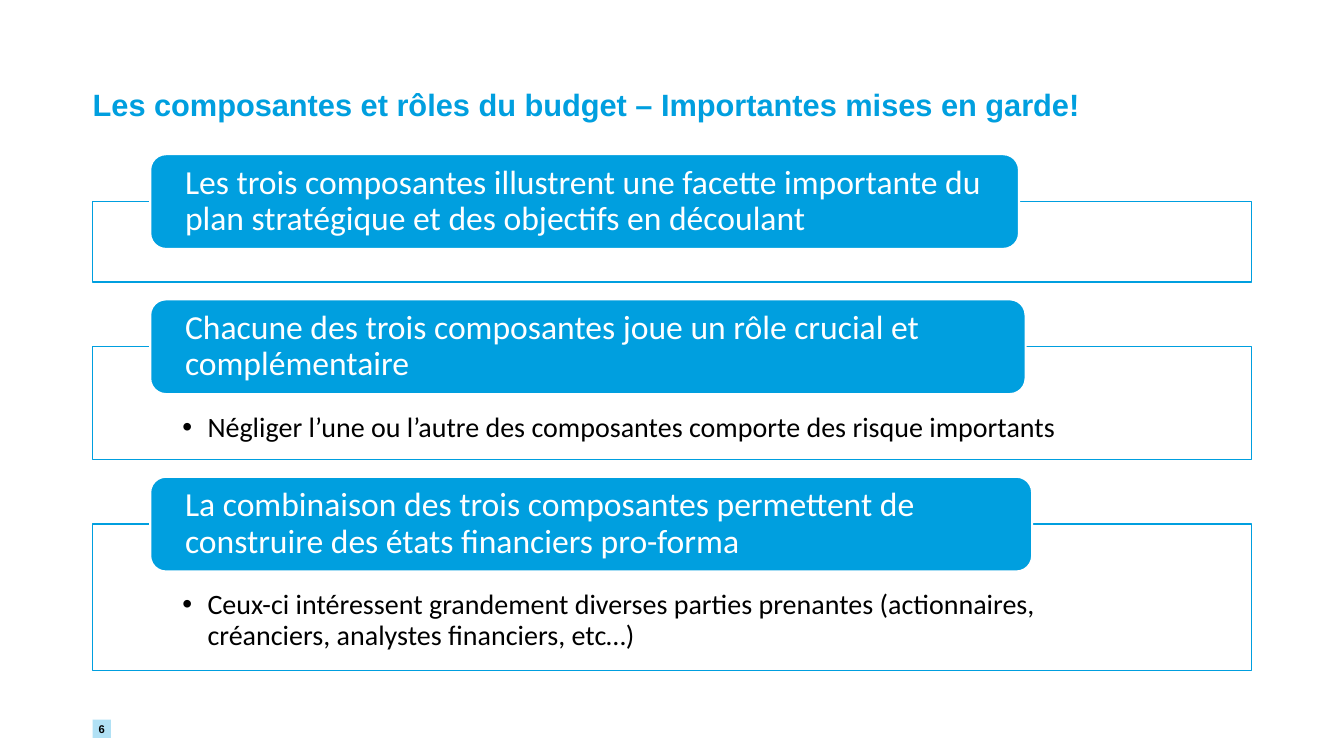
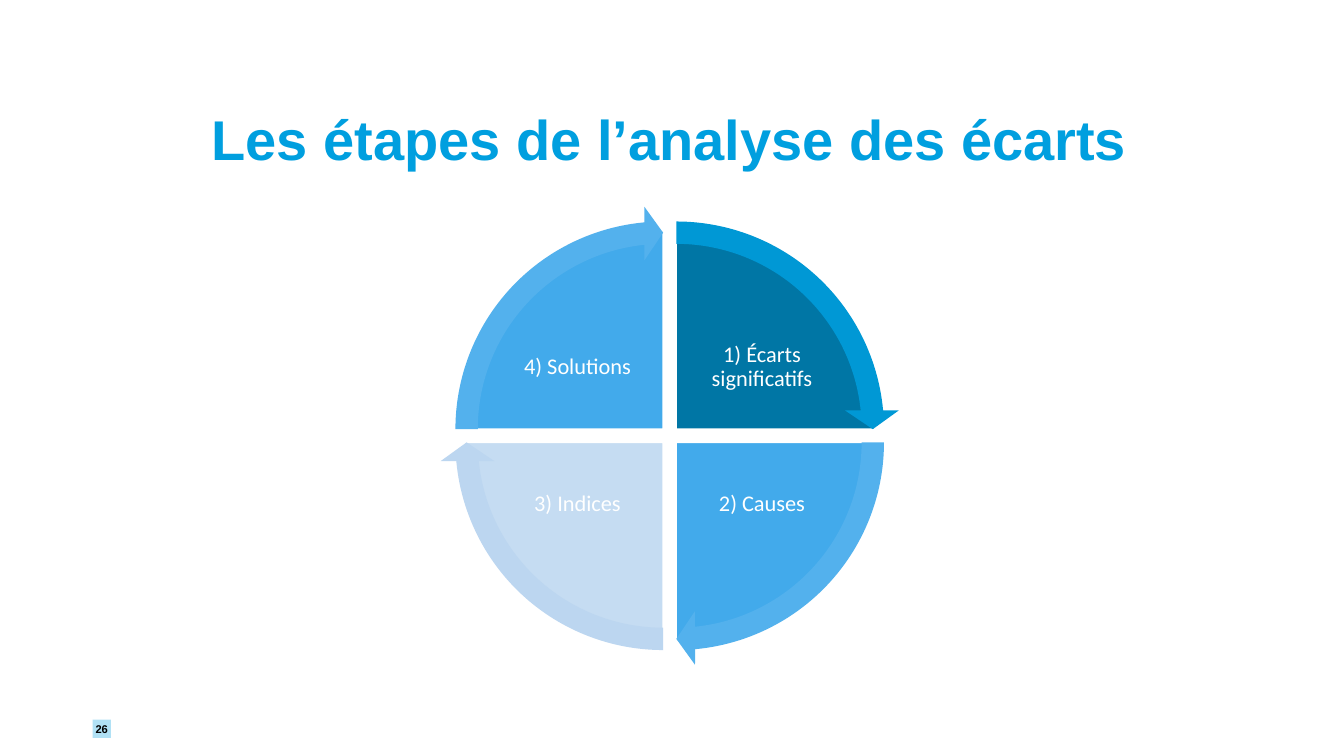
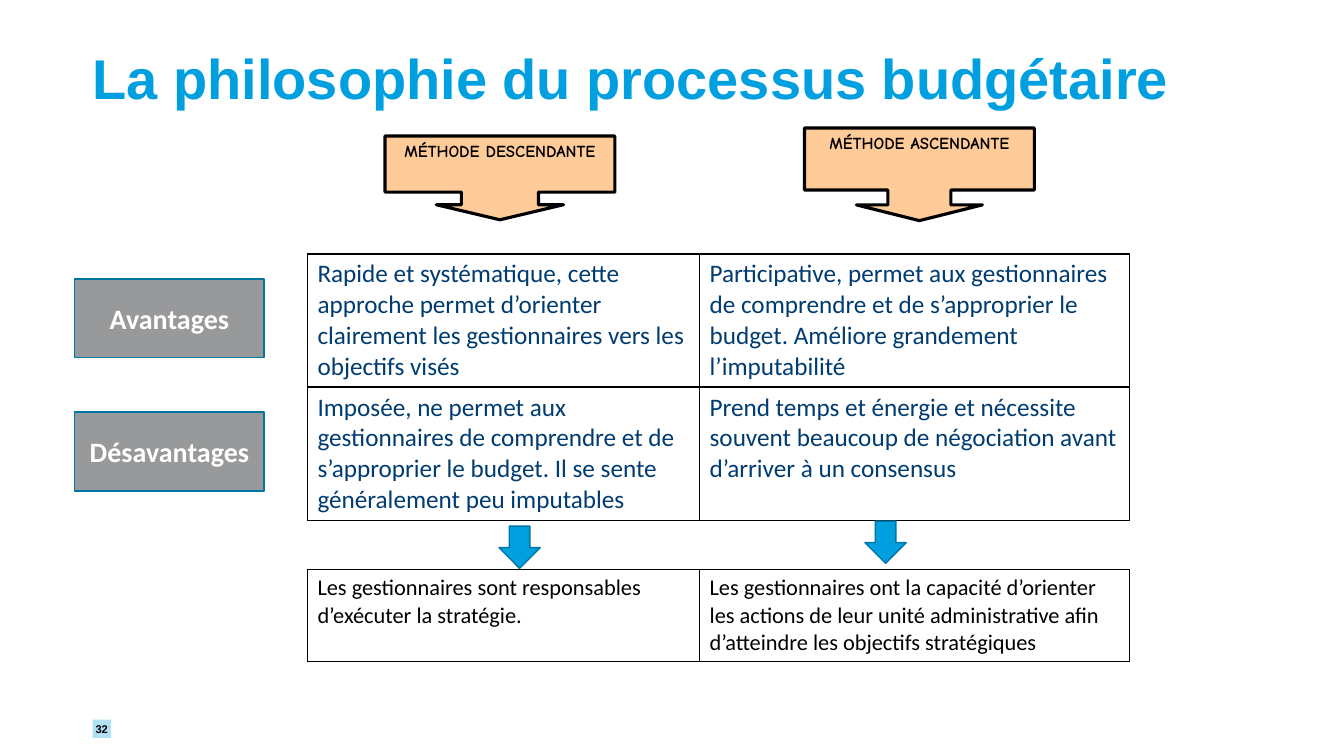
from lxml import etree
from pptx import Presentation
from pptx.dml.color import RGBColor
from pptx.enum.shapes import MSO_SHAPE as Shape
from pptx.enum.text import MSO_ANCHOR as Anchor, MSO_AUTO_SIZE as AutoSize, PP_ALIGN as Align
from pptx.oxml.ns import qn
from pptx.util import Pt

BLUE, DARK_BLUE, NAVY, PALE_BLUE = "009FDF", "0076A5", "003C71", "3CB5E6"
BLACK, WHITE, GREY, PEACH = "000000", "FFFFFF", "97999B", "FFCC99"
MARGIN, CONTENT_WIDTH = 66.2, 828
CELL_INSETS = (7.2, 3.6, 7.2, 3.6)

BADGE_FONT = {"name": "Arial", "size": 8, "bold": True, "color": BLACK}
HEADER_FONT = {"name": "Calibri", "size": 24, "color": WHITE}
DETAIL_FONT = {"name": "Calibri", "size": 20, "color": BLACK}
STEP_FONT = {"name": "Calibri", "size": 16, "color": WHITE}
METHOD_FONT = {"name": "Comic Neue", "size": 12, "bold": True, "color": BLACK}
LABEL_FONT = {"name": "Calibri", "size": 20, "bold": True, "color": WHITE}
COMPARE_FONT = {"name": "Calibri", "size": 18, "color": NAVY}
RESULT_FONT = {"name": "Calibri", "size": 16, "color": BLACK}

TITLES = [
    {"text": "Les composantes et rôles du budget – Importantes mises en garde!",
     "left": MARGIN, "top": 43.2, "size": 22, "number": "6"},
    {"text": "Les étapes de l’analyse des écarts",
     "left": 151.2, "top": 78.5, "size": 40, "number": "26"},
    {"text": "La philosophie du processus budgétaire",
     "left": MARGIN, "top": 34.6, "size": 40, "number": "32"},
]

WARNINGS = [
    ("Les trois composantes illustrent une facette importante du plan stratégique "
     "et des objectifs en découlant", "", 57.6),
    ("Chacune des trois composantes joue un rôle crucial et complémentaire",
     "Négliger l’une ou l’autre des composantes comporte des risque importants", 80.6),
    ("La combinaison des trois composantes permettent de construire des états "
     "financiers pro-forma",
     "Ceux-ci intéressent grandement diverses parties prenantes (actionnaires, "
     "créanciers, analystes financiers, etc…)", 104.4),
]

STEPS = [
    ("1) Écarts significatifs", 1, -1, DARK_BLUE, "0098D5"),
    ("2) Causes", 1, 1, "42AAEB", "53B1ED"),
    ("3) Indices", -1, 1, "C5DCF2", "BCD6F0"),
    ("4) Solutions", -1, -1, "42AAEB", "53B1ED"),
]

METHODS = [
    ("MÉTHODE DESCENDANTE", 275, 97.2, 59.8, (0.92, 0.76, 0.18, 0.67)),
    ("MÉTHODE ASCENDANTE", 574.6, 91.4, 66.2, (0.68, 0.68, 0.17, 0.67)),
]
LABELS = ["Avantages", "Désavantages"]
COMPARISON = [
    ["Rapide et systématique, cette approche permet d’orienter clairement les "
     "gestionnaires vers les objectifs visés",
     "Participative, permet aux gestionnaires de comprendre et de s’approprier le "
     "budget. Améliore grandement l’imputabilité"],
    ["Imposée, ne permet aux gestionnaires de comprendre et de s’approprier le "
     "budget. Il se sente généralement peu imputables",
     "Prend temps et énergie et nécessite souvent beaucoup de négociation avant "
     "d’arriver à un consensus"],
]
RESULTS = [[
    "Les gestionnaires sont responsables d’exécuter la stratégie.",
    "Les gestionnaires ont la capacité d’orienter les actions de leur unité "
    "administrative afin d’atteindre les objectifs stratégiques",
]]
RESULT_ARROWS = [(356.4, 375.8), (617.8, 372.2)]
COLUMN_WIDTHS = [280.1, 306.9]


def color(value):
    return RGBColor.from_string(value)


def format_para(para, text, font, align=Align.LEFT, spacing=None):
    span = para.add_run()
    span.text = text
    para.alignment = align
    if spacing:
        para.line_spacing = spacing
    for name, value in font.items():
        if name == "color":
            span.font.color.rgb = color(value)
        else:
            setattr(span.font, name, Pt(value) if name == "size" else value)


def write(box, text, font, align=Align.CENTER, anchor=Anchor.MIDDLE,
          insets=(0, 0, 0, 0), spacing=None):
    frame = box.text_frame
    frame.word_wrap = True
    frame.auto_size = AutoSize.NONE
    frame.vertical_anchor = anchor
    for side, value in zip(("left", "top", "right", "bottom"), insets):
        setattr(frame, f"margin_{side}", Pt(value))
    format_para(frame.paragraphs[0], text, font, align, spacing)


def add_box(page, kind, left, top, width, height, fill, line=None, weight=1, adjust=()):
    box = page.shapes.add_shape(kind, Pt(left), Pt(top), Pt(width), Pt(height))
    box.shadow.inherit = False
    box.fill.solid()
    box.fill.fore_color.rgb = color(fill)
    if line:
        box.line.color.rgb = color(line)
        box.line.width = Pt(weight)
    else:
        box.line.fill.background()
    for index, value in enumerate(adjust):
        box.adjustments[index] = value
    return box


def add_page(deck, text, left, top, size, number):
    page = deck.slides.add_slide(deck.slide_layouts[5])
    title = page.shapes.title
    title.left, title.top = Pt(left), Pt(top)
    title.width, title.height = Pt(MARGIN + CONTENT_WIDTH - left), Pt(44.6)
    font = {"name": "Arial", "size": size, "bold": True, "color": BLUE}
    write(title, text, font, Align.LEFT, spacing=Pt(44))
    badge = add_box(page, Shape.RECTANGLE, MARGIN, 514.1, 13, 13, PALE_BLUE)
    tint = badge.fill._xPr.find(qn("a:solidFill"))[0]
    etree.SubElement(tint, qn("a:alpha"), val="40000")
    write(badge, number, BADGE_FONT)
    return page


def add_bullet(para, indent):
    props = para._p.get_or_add_pPr()
    props.set("marL", str(Pt(indent)))
    props.set("indent", str(-Pt(indent)))
    etree.SubElement(props, qn("a:buFont"), typeface="Arial")
    etree.SubElement(props, qn("a:buChar"), char="•")


def add_borders(cell):
    props = cell._tc.get_or_add_tcPr()
    for index, side in enumerate(("lnL", "lnR", "lnT", "lnB")):
        edge = etree.Element(qn(f"a:{side}"), w=str(Pt(1)))
        paint = etree.SubElement(edge, qn("a:solidFill"))
        etree.SubElement(paint, qn("a:srgbClr"), val=BLACK)
        props.insert(index, edge)


def add_grid(page, rows, left, top, row_height, font, fill=None):
    table = page.shapes.add_table(len(rows), len(COLUMN_WIDTHS), Pt(left), Pt(top),
                                  Pt(sum(COLUMN_WIDTHS)), Pt(row_height * len(rows))).table
    table.first_row = table.horz_banding = False
    for column, width in zip(table.columns, COLUMN_WIDTHS):
        column.width = Pt(width)
    for row, texts in zip(table.rows, rows):
        row.height = Pt(row_height)
        for cell, text in zip(row.cells, texts):
            if fill:
                cell.fill.solid()
                cell.fill.fore_color.rgb = color(fill)
            else:
                cell.fill.background()
            add_borders(cell)
            format_para(cell.text_frame.paragraphs[0], text, font)


def build_warnings(page):
    top, gap, header_height = 144, 46.1, 67.7
    for index, (header, detail, height) in enumerate(WARNINGS):
        card = add_box(page, Shape.RECTANGLE, MARGIN, top, CONTENT_WIDTH, height, WHITE, BLUE)
        if detail:
            add_bullet(card.text_frame.paragraphs[0], 18)
            write(card, detail, DETAIL_FONT, Align.LEFT, Anchor.TOP,
                  (64.1, 47.5, 64.1, 11.5), 0.9)
        banner = add_box(page, Shape.ROUNDED_RECTANGLE, 107.3, top - header_height / 2,
                         620.6 + 4.7 * index, header_height, BLUE, WHITE, 1.5)
        write(banner, header, HEADER_FONT, Align.LEFT, insets=(21.6, 0, 21.6, 0), spacing=0.9)
        top += height + gap


def build_cycle(page):
    center_x, center_y, shift = 478.4, 311.3, 4.7
    pie_size, arrow_size, text_width, text_height = 283.7, 319, 104.4, 77.8
    quarter, turn, head = 54, 216, 3.28
    arrows = []
    for index, (text, side_x, side_y, pie_fill, arrow_fill) in enumerate(STEPS):
        x, y = center_x + side_x * shift, center_y + side_y * shift
        start = (index - 1) * quarter % turn
        end = start + quarter
        add_box(page, Shape.PIE, x - pie_size / 2, y - pie_size / 2, pie_size, pie_size,
                pie_fill, WHITE, adjust=(start, end % turn))
        box = page.shapes.add_textbox(
            Pt(center_x + side_x * 65.9 - text_width / 2),
            Pt(center_y + side_y * 49 - text_height / 2), Pt(text_width), Pt(text_height))
        write(box, text, STEP_FONT, insets=(1.4,) * 4, spacing=0.9)
        arrows.append((x, y, arrow_fill, (0.05, head, end - head, start, 0.06)))
    for x, y, fill, adjust in arrows:
        add_box(page, Shape.CIRCULAR_ARROW, x - arrow_size / 2, y - arrow_size / 2,
                arrow_size, arrow_size, fill, adjust=adjust)


def build_methods(page):
    table_left, table_top, row_height, label_height = 219.6, 181.4, 95, 56.2
    add_grid(page, COMPARISON, table_left, table_top, row_height, COMPARE_FONT, WHITE)
    add_grid(page, RESULTS, table_left, 406.8, 65, RESULT_FONT)
    for text, left, top, height, adjust in METHODS:
        callout = add_box(page, Shape.DOWN_ARROW_CALLOUT, left, top, 164.2, height,
                          PEACH, BLACK, 2.25, adjust)
        write(callout, text, METHOD_FONT, anchor=Anchor.TOP, insets=CELL_INSETS)
    for index, text in enumerate(LABELS):
        top = table_top + index * row_height + 18
        label = add_box(page, Shape.RECTANGLE, 53.3, top, 135.4, label_height, GREY, DARK_BLUE)
        write(label, text, LABEL_FONT, insets=CELL_INSETS)
    for left, top in RESULT_ARROWS:
        add_box(page, Shape.DOWN_ARROW, left, top, 29.5, 30.2, BLUE, DARK_BLUE)


def main():
    deck = Presentation()
    deck.slide_width, deck.slide_height = Pt(960), Pt(540)
    for title, build in zip(TITLES, (build_warnings, build_cycle, build_methods)):
        build(add_page(deck, **title))
    deck.save("out.pptx")


if __name__ == "__main__":
    main()
